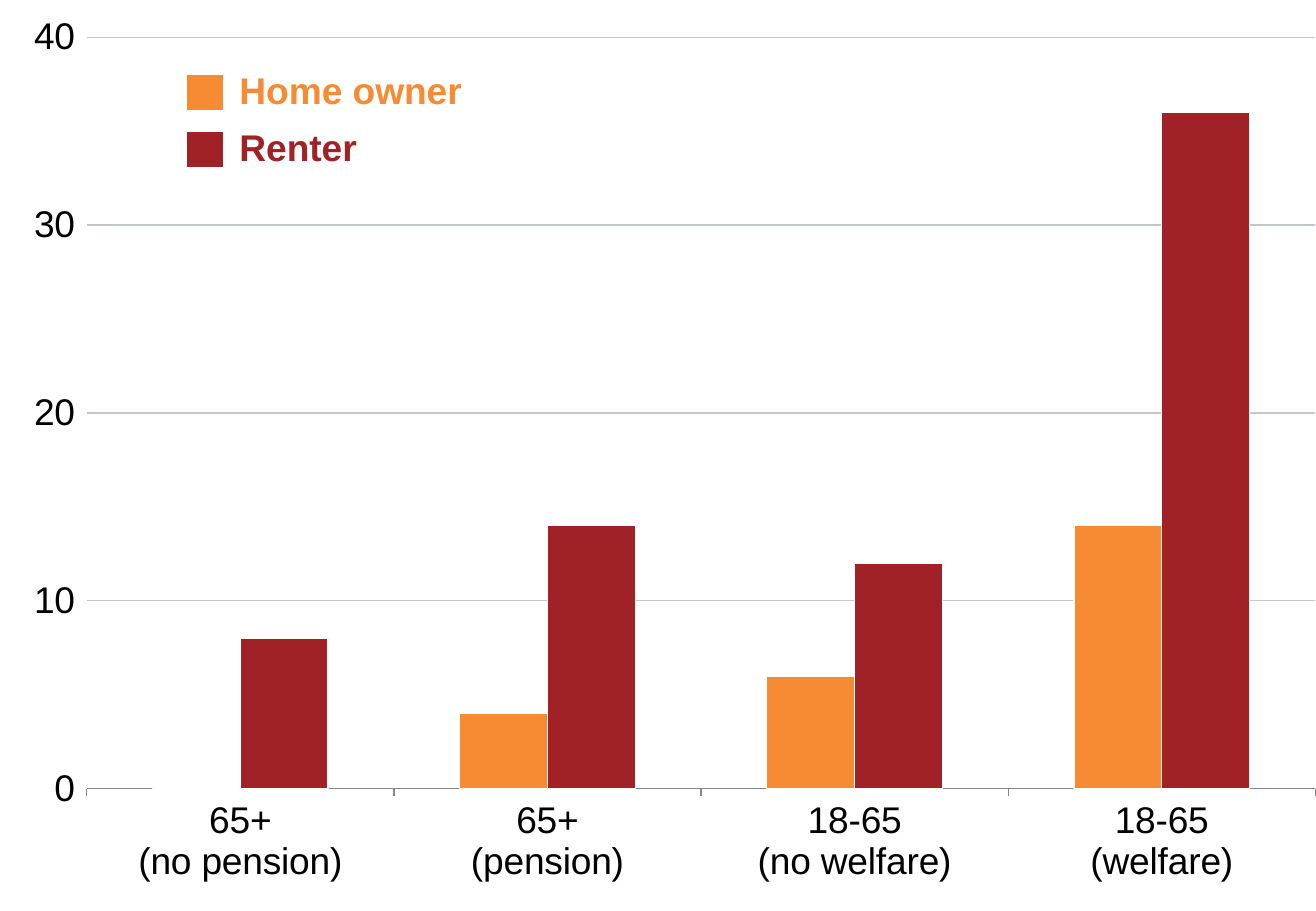
from dataclasses import dataclass

from lxml import etree
from pptx import Presentation
from pptx import util as u
from pptx.chart.data import CategoryChartData
from pptx.dml.color import RGBColor
from pptx.enum import chart as ch, shapes, text

W, H = 10.83, 7.5
FONT = "Arial"
SIZE = u.Pt(22)
THIN = u.Pt(0.75)
COLORS = {"owner": "F68B33", "renter": "A02226", "white": "FFFFFF",
          "black": "000000", "grid": "C3C7CB", "axis": "868686"}
C_NS = "http://schemas.openxmlformats.org/drawingml/2006/chart"
PLOT = {"x": 0.066, "y": 0.041, "w": 0.934, "h": 0.825}  # shares of the slide
CATEGORIES = ["65+\n(no pension)", "65+\n(pension)",
              "18-65\n(no welfare)", "18-65\n(welfare)"]


@dataclass
class Tenure:
    label: str
    series: str
    color: str
    values: tuple[int, ...]
    label_width: float  # share of the slide width


TENURES = [
    Tenure("Home owner", "Series 1", "owner", (0, 4, 6, 14), 0.186),
    Tenure("Renter", "Series 2", "renter", (8, 14, 12, 36), 0.114),
]


def rgb(name: str) -> RGBColor:
    return RGBColor.from_string(COLORS[name])


def across(share: float) -> int:
    return u.Inches(W * share)


def down(share: float) -> int:
    return u.Inches(H * share)


def paint(part, color: str) -> None:
    """Fill a bar or shape and give it a thin white edge."""
    part.fill.solid()
    part.fill.fore_color.rgb = rgb(color)
    part.line.color.rgb = rgb("white")
    part.line.width = THIN


def place_plot(chart) -> None:
    """Fix the inner plot area as shares of the chart."""
    area = chart.element.find(f".//{{{C_NS}}}plotArea")
    for old in area.findall(f"{{{C_NS}}}layout"):
        area.remove(old)
    layout = etree.Element(f"{{{C_NS}}}layout")
    manual = etree.SubElement(layout, f"{{{C_NS}}}manualLayout")
    settings = {"layoutTarget": "inner", "xMode": "edge", "yMode": "edge", **PLOT}
    for tag, value in settings.items():
        etree.SubElement(manual, f"{{{C_NS}}}{tag}").set("val", str(value))
    area.insert(0, layout)


def add_columns(slide) -> None:
    data = CategoryChartData()
    data.categories = CATEGORIES
    for t in TENURES:
        data.add_series(t.series, t.values)
    chart = slide.shapes.add_chart(ch.XL_CHART_TYPE.COLUMN_CLUSTERED,
                                   0, 0, across(1), down(1), data).chart
    chart.has_legend = False
    chart.has_title = False
    chart.font.name = FONT
    chart.font.size = SIZE
    chart.font.color.rgb = rgb("black")
    place_plot(chart)

    # Bars
    plot = chart.plots[0]
    plot.gap_width = 150
    plot.overlap = 0
    plot.vary_by_categories = False
    for series, t in zip(plot.series, TENURES):
        paint(series.format, t.color)

    # Axes
    cat, val = chart.category_axis, chart.value_axis
    cat.major_tick_mark = val.major_tick_mark = ch.XL_TICK_MARK.OUTSIDE
    cat.format.line.color.rgb = rgb("axis")
    val.format.line.fill.background()
    val.minimum_scale, val.maximum_scale, val.major_unit = 0, 40, 10
    val.tick_labels.number_format = "#,##0"
    val.tick_labels.number_format_is_linked = False
    val.major_gridlines.format.line.color.rgb = rgb("grid")
    val.major_gridlines.format.line.width = THIN


def add_box(group, x: float, y: float, w: int, h: int, color: str) -> None:
    sp = group.shapes.add_shape(shapes.MSO_SHAPE.RECTANGLE, across(x), down(y), w, h)
    sp.shadow.inherit = False
    paint(sp, color)


def add_label(group, x: float, y: float, t: Tenure) -> None:
    sp = group.shapes.add_textbox(across(x), down(y), across(t.label_width), down(0.041))
    tf = sp.text_frame
    tf.margin_left = tf.margin_right = tf.margin_top = tf.margin_bottom = 0
    tf.word_wrap = True
    tf.auto_size = text.MSO_AUTO_SIZE.SHAPE_TO_FIT_TEXT
    p = tf.paragraphs[0]
    p.text = t.label
    p.line_spacing = 0.85
    p.font.name, p.font.size, p.font.bold = FONT, SIZE, True
    p.font.color.rgb = rgb(t.color)


def add_legend(slide) -> None:
    group = slide.shapes.add_group_shape()
    add_box(group, 0.123, 0.076, across(0.246), down(0.109), "white")
    for row, t in enumerate(TENURES):
        y = 0.082 + row * 0.062
        add_label(group, 0.182, y, t)
        add_box(group, 0.142, y, down(0.04), down(0.04), t.color)


def main() -> None:
    prs = Presentation()
    prs.slide_width, prs.slide_height = across(1), down(1)
    slide = prs.slides.add_slide(prs.slide_layouts[6])
    add_columns(slide)
    add_legend(slide)
    prs.save("out.pptx")


if __name__ == "__main__":
    main()
